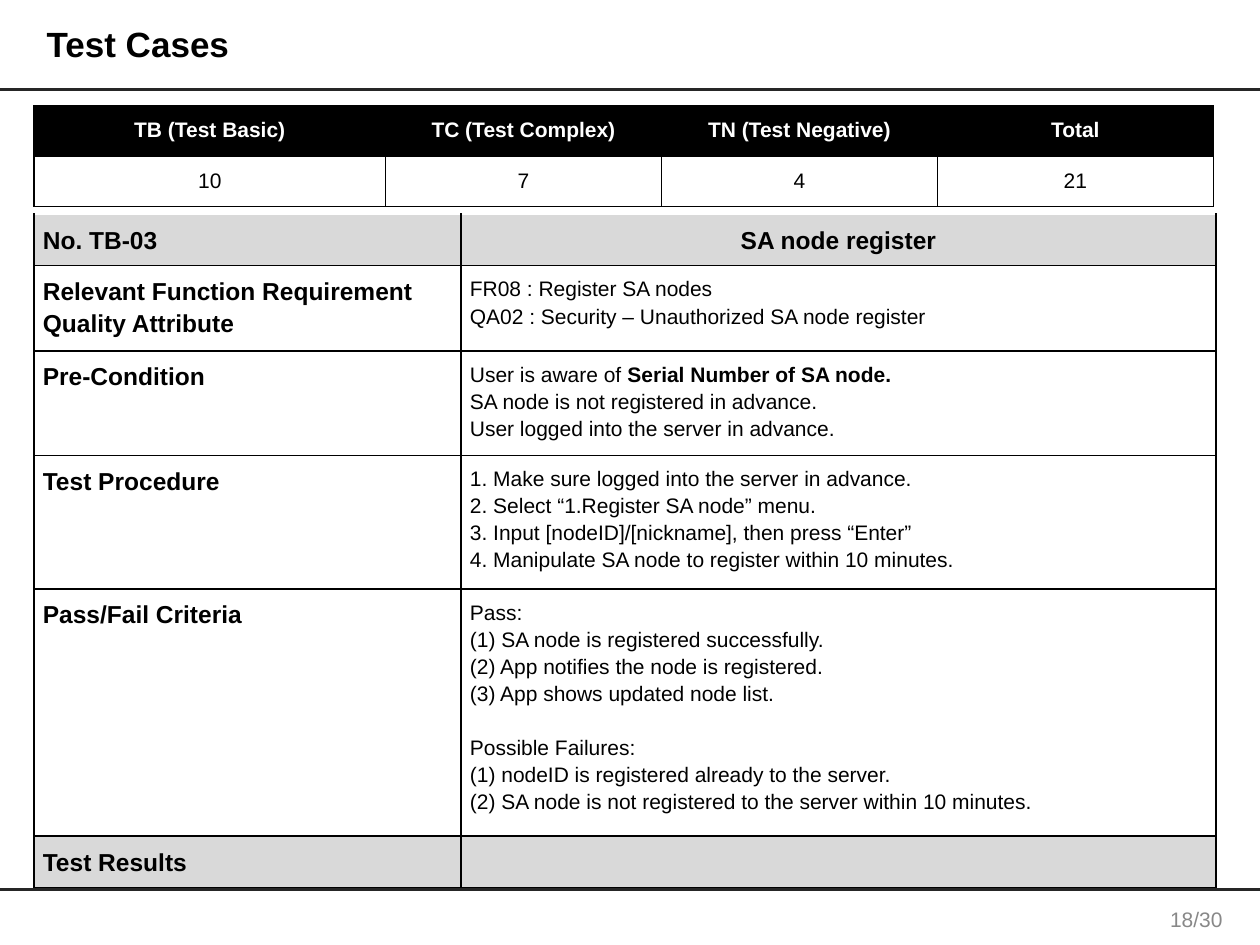
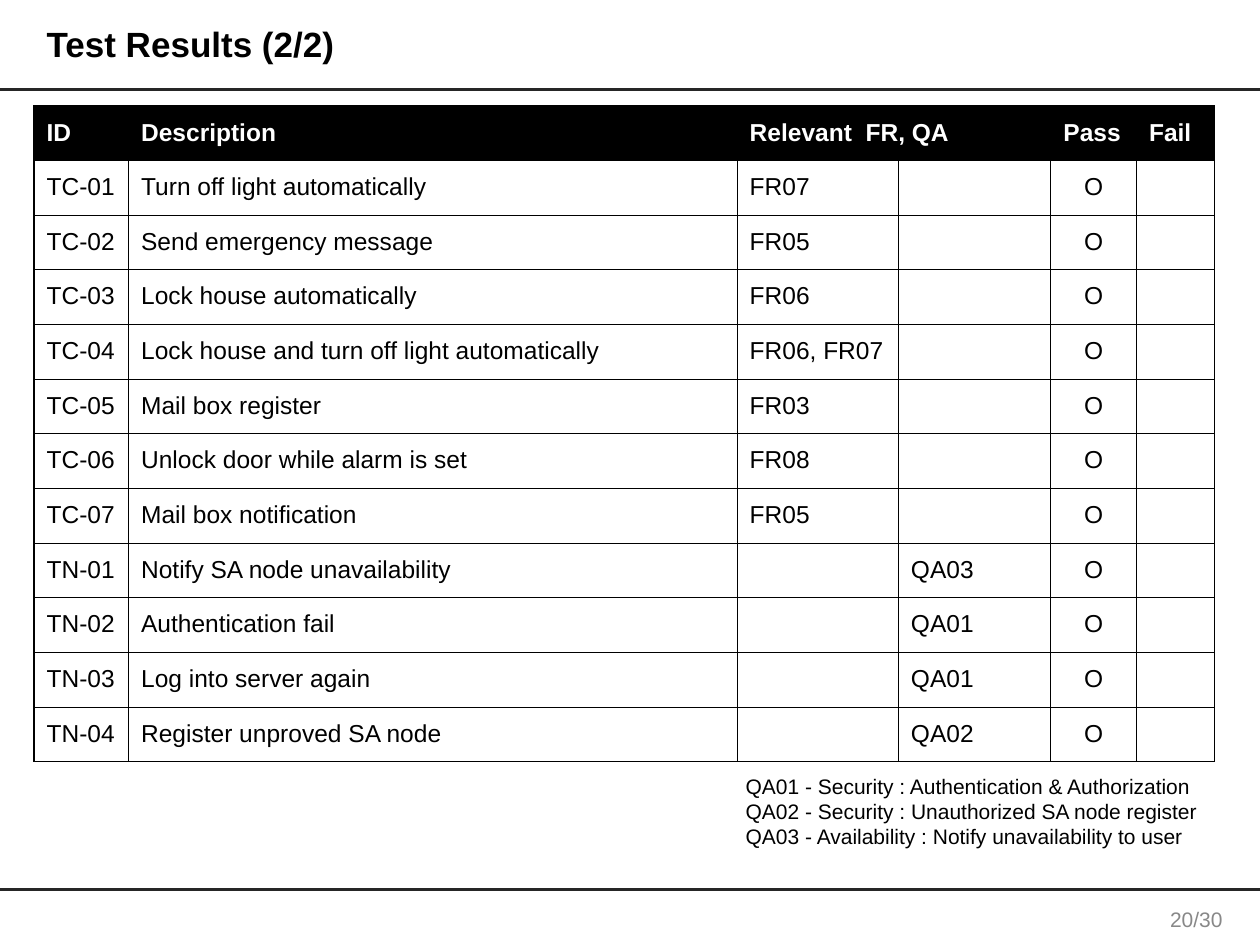
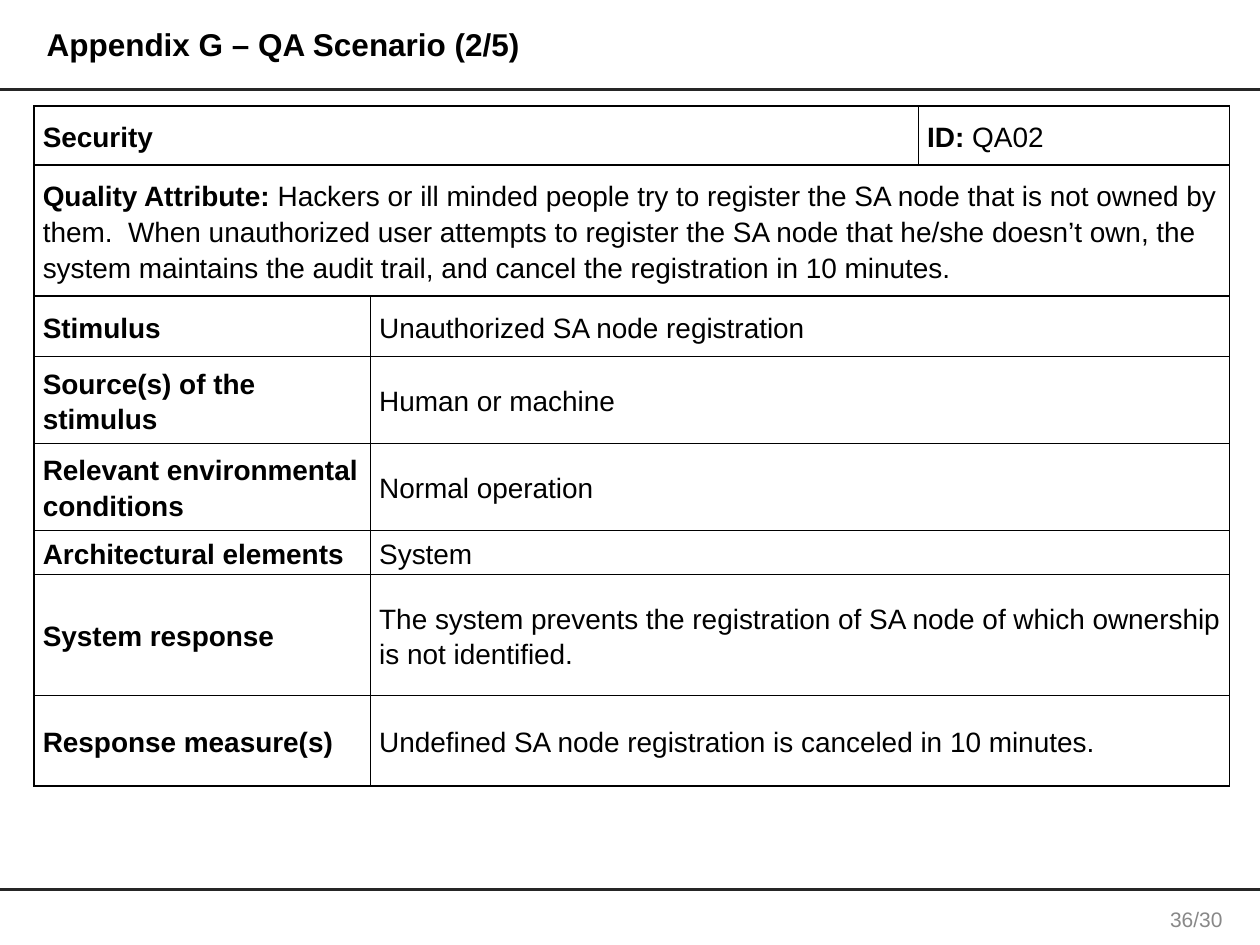
from lxml.etree import SubElement
from pptx import Presentation
from pptx.dml.color import RGBColor
from pptx.enum.shapes import MSO_CONNECTOR
from pptx.enum.text import MSO_ANCHOR as Anchor, MSO_AUTO_SIZE, PP_ALIGN as Align
from pptx.oxml import parse_xml
from pptx.oxml.ns import nsdecls, qn
from pptx.util import Inches, Pt

BLACK = RGBColor(0x00, 0x00, 0x00)
WHITE = RGBColor(0xFF, 0xFF, 0xFF)
RULE = RGBColor(0x26, 0x26, 0x26)
BAND = RGBColor(0xD9, 0xD9, 0xD9)
PAGE_GREY = RGBColor(0x88, 0x88, 0x88)
FONT = "Arial"
LEFT, TOP = 0.27, 0.84
RULE_HEIGHTS = (0.71, 7.06)

# Content: a paragraph is a string, or a list of (words, bold) runs
CASE_COUNTS = [
    ("TB (Test Basic)", "TC (Test Complex)", "TN (Test Negative)", "Total"),
    ("10", "7", "4", "21"),
]
COUNT_COLS = (2.79, 2.19, 2.19, 2.19)

# Row height, heading paragraphs, detail paragraphs
TEST_CASE = [
    (0.39, ["No. TB-03"], ["SA node register"]),
    (0.64, ["Relevant Function Requirement", "Quality Attribute"],
     ["FR08 : Register SA nodes",
      "QA02 : Security – Unauthorized SA node register"]),
    (0.78, ["Pre-Condition"],
     [[("User is aware of ", False), ("Serial Number of SA node.", True)],
      "SA node is not registered in advance.",
      "User logged into the server in advance."]),
    (1.0, ["Test Procedure"],
     ["1. Make sure logged into the server in advance.",
      "2. Select “1.Register SA node” menu.",
      "3. Input [nodeID]/[nickname], then press “Enter”",
      "4. Manipulate SA node to register within 10 minutes."]),
    (1.86, ["Pass/Fail Criteria"],
     ["Pass:",
      "(1) SA node is registered successfully.",
      "(2) App notifies the node is registered.",
      "(3) App shows updated node list.",
      "Possible Failures:",
      "(1) nodeID is registered already to the server.",
      "(2) SA node is not registered to the server within 10 minutes."]),
    (0.39, ["Test Results"], []),
]
CASE_COLS = (3.39, 5.99)
FAILURES_HEADING = "Possible Failures:"

RESULT_HEADER = ("ID", "Description", "Relevant  FR, QA", "", "Pass", "Fail")
RESULTS = [
    ("TC-01", "Turn off light automatically", "FR07", ""),
    ("TC-02", "Send emergency message", "FR05", ""),
    ("TC-03", "Lock house automatically", "FR06", ""),
    ("TC-04", "Lock house and turn off light automatically", "FR06, FR07", ""),
    ("TC-05", "Mail box register", "FR03", ""),
    ("TC-06", "Unlock door while alarm is set", "FR08", ""),
    ("TC-07", "Mail box notification", "FR05", ""),
    ("TN-01", "Notify SA node unavailability", "", "QA03"),
    ("TN-02", "Authentication fail", "", "QA01"),
    ("TN-03", "Log into server again", "", "QA01"),
    ("TN-04", "Register unproved SA node", "", "QA02"),
]
RESULT_COLS = (0.75, 4.83, 1.28, 1.21, 0.68, 0.62)
PASS_COL = 4
QA_LEGEND = [
    "QA01 - Security : Authentication & Authorization",
    "QA02 - Security : Unauthorized SA node register",
    "QA03 - Availability : Notify unavailability to user",
]

SCENARIO_ID = [("ID:", True), (" QA02", False)]
SCENARIO_SUMMARY = [
    ("Quality Attribute:", True),
    (" Hackers or ill minded people try to register the SA node that is not "
     "owned by them.  When unauthorized user attempts to register the SA node "
     "that he/she doesn’t own, the system maintains the audit trail, and "
     "cancel the registration in 10 minutes.", False),
]
SCENARIO_PARTS = [
    ("Stimulus", "Unauthorized SA node registration"),
    ("Source(s) of the stimulus", "Human or machine"),
    ("Relevant environmental conditions", "Normal operation"),
    ("Architectural elements", "System"),
    ("System response", "The system prevents the registration of SA node of "
                        "which ownership is not identified."),
    ("Response measure(s)",
     "Undefined SA node registration is canceled in 10 minutes."),
]
SCENARIO_COLS = (2.67, 4.35, 2.47)
SCENARIO_ROWS = (0.47, 1.04, 0.48, 0.69, 0.69, 0.35, 0.96, 0.72)


# Text
def write(frame, paragraphs, size, bold=False, color=BLACK, align=Align.LEFT,
          spacing=None):
    for i, content in enumerate(paragraphs):
        para = frame.paragraphs[0] if i == 0 else frame.add_paragraph()
        para.alignment = align
        if spacing:
            para.line_spacing = spacing
        runs = [(content, bold)] if isinstance(content, str) else content
        for words, is_bold in runs:
            run = para.add_run()
            run.text = words
            run.font.name, run.font.size = FONT, Pt(size)
            run.font.bold = is_bold
            run.font.color.rgb = color


def set_insets(frame, across, down):
    frame.margin_left = frame.margin_right = Inches(across)
    frame.margin_top = frame.margin_bottom = Inches(down)


def add_text(slide, box, paragraphs, down=0.05, anchor=Anchor.TOP, **style):
    frame = slide.shapes.add_textbox(*map(Inches, box)).text_frame
    frame.word_wrap = True
    frame.vertical_anchor = anchor
    set_insets(frame, 0.1, down)
    write(frame, paragraphs, 12, **style)


# Tables
def add_grid(slide, top, cols, rows, line_width, open_top=False):
    table = slide.shapes.add_table(
        len(rows), len(cols), Inches(LEFT), Inches(top),
        Inches(sum(cols)), Inches(sum(rows))).table
    table.first_row = table.horz_banding = False
    for column, width in zip(table.columns, cols):
        column.width = Inches(width)
    for r, height in enumerate(rows):
        table.rows[r].height = Inches(height)
        for cell in table.rows[r].cells:
            cell.fill.background()
            add_borders(cell, line_width, "LRB" if open_top and r == 0 else "LRTB")
    return table


def add_borders(cell, line_width, sides):
    props = cell._tc.get_or_add_tcPr()
    for i, side in enumerate(sides):
        props.insert(i, parse_xml(
            f'<a:ln{side} {nsdecls("a")} w="{Pt(line_width)}"><a:solidFill>'
            f'<a:srgbClr val="{BLACK}"/></a:solidFill></a:ln{side}>'))


def paint(cell, color):
    cell.fill.solid()
    cell.fill.fore_color.rgb = color


def fill_cell(cell, paragraphs, size, across=0.1, down=0.1, anchor=Anchor.TOP,
              **style):
    set_insets(cell, across, down)
    cell.vertical_anchor = anchor
    write(cell.text_frame, paragraphs, size, **style)


# Shared slide frame
def add_rules(slide):
    """Draw the two rules once and hand them to the layout."""
    for y in RULE_HEIGHTS:
        rule = slide.shapes.add_connector(
            MSO_CONNECTOR.STRAIGHT, 0, Inches(y), Inches(10), Inches(y))
        rule.line.color.rgb = RULE
        rule.line.width = Pt(1.75)
        SubElement(rule.element.spPr, qn("a:effectLst"))
        slide.slide_layout.shapes.element.append(rule.element)


def add_slide(prs, title, page, size=20, width=8.52):
    slide = prs.slides.add_slide(prs.slide_layouts[5])
    heading = slide.shapes.title
    heading.left, heading.top = Inches(LEFT), Inches(0.1)
    heading.width, heading.height = Inches(width), Inches(0.53)
    frame = heading.text_frame
    frame.auto_size = MSO_AUTO_SIZE.NONE
    frame.vertical_anchor = Anchor.MIDDLE
    set_insets(frame, 0.1, 0.05)
    write(frame, [title], size, bold=True, spacing=0.9)
    add_text(slide, (9.11, 7.14, 0.77, 0.31), [page], anchor=Anchor.MIDDLE,
             color=PAGE_GREY, align=Align.CENTER)
    return slide


# Slides
def build_test_cases(prs):
    slide = add_slide(prs, "Test Cases", "18/30")
    add_rules(slide)

    case = add_grid(slide, 1.7, CASE_COLS, [row[0] for row in TEST_CASE], 1,
                    open_top=True)
    for r, (_, heading, details) in enumerate(TEST_CASE):
        label, body = case.rows[r].cells
        fill_cell(label, heading, 14, 0.07, 0.07, bold=True, spacing=1.15)
        if r == 0:
            fill_cell(body, details, 14, 0.07, 0.07, bold=True, spacing=1.15,
                      align=Align.CENTER)
        elif details:
            fill_cell(body, details, 12, 0.07, 0.07, spacing=1.15)
        if r in (0, len(TEST_CASE) - 1):
            paint(label, BAND)
            paint(body, BAND)
        for para in body.text_frame.paragraphs:
            if para.text == FAILURES_HEADING:
                para.space_before = Pt(15.4)

    counts = add_grid(slide, TOP, COUNT_COLS, (0.38, 0.38), 0.75)
    for r, values in enumerate(CASE_COUNTS):
        for cell, value in zip(counts.rows[r].cells, values):
            fill_cell(cell, [value], 12, bold=r == 0, align=Align.CENTER,
                      color=BLACK if r else WHITE)
            if r == 0:
                paint(cell, BLACK)


def build_results(prs):
    slide = add_slide(prs, "Test Results (2/2)", "20/30")
    rows = [RESULT_HEADER] + [row + ("O", "") for row in RESULTS]
    results = add_grid(slide, TOP, RESULT_COLS, [0.42] * len(rows), 0.75)
    results.cell(0, 2).merge(results.cell(0, 3))
    for r, values in enumerate(rows):
        for c, value in enumerate(values):
            cell = results.cell(r, c)
            if r == 0:
                paint(cell, BLACK)
            if value and r == 0:
                fill_cell(cell, [value], 14, anchor=Anchor.MIDDLE, bold=True,
                          color=WHITE)
            elif value:
                fill_cell(cell, [value], 14,
                          align=Align.CENTER if c == PASS_COL else Align.LEFT)
    add_text(slide, (5.82, 6.04, 3.86, 0.87), QA_LEGEND, down=0.1)


def build_scenario(prs):
    slide = add_slide(prs, "Appendix G – QA Scenario (2/5)", "36/30",
                      size=18, width=9.53)
    scenario = add_grid(slide, TOP, SCENARIO_COLS, SCENARIO_ROWS, 1)

    def put(row, first, last, content, bold=False):
        cell = scenario.cell(row, first)
        if last > first:
            cell.merge(scenario.cell(row, last))
        paint(cell, WHITE)
        fill_cell(cell, [content], 16, 0.07, 0, Anchor.MIDDLE, bold=bold,
                  spacing=1.15)

    put(0, 0, 1, "Security", bold=True)
    put(0, 2, 2, SCENARIO_ID)
    put(1, 0, 2, SCENARIO_SUMMARY)
    for r, (part, answer) in enumerate(SCENARIO_PARTS, start=2):
        put(r, 0, 0, part, bold=True)
        put(r, 1, 2, answer)


def main():
    prs = Presentation()
    prs.slide_width, prs.slide_height = Inches(10), Inches(7.5)
    build_test_cases(prs)
    build_results(prs)
    build_scenario(prs)
    prs.save("out.pptx")


if __name__ == "__main__":
    main()
